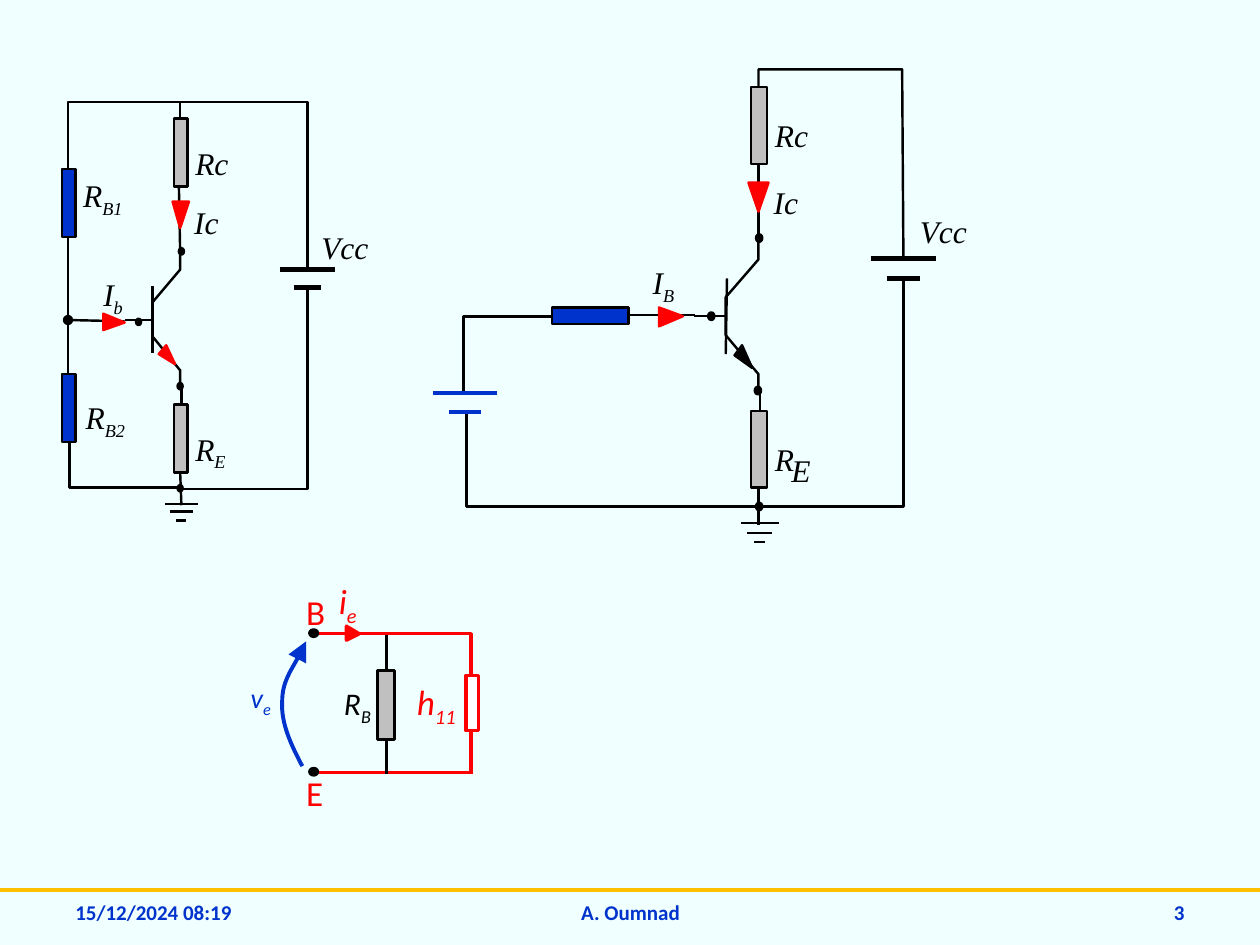
from lxml import etree
from pptx import Presentation
from pptx.dml.color import RGBColor
from pptx.enum.shapes import MSO_CONNECTOR, MSO_SHAPE
from pptx.enum.text import MSO_ANCHOR, MSO_AUTO_SIZE, PP_ALIGN
from pptx.oxml.ns import qn
from pptx.util import Inches, Pt

STRAIGHT = MSO_CONNECTOR.STRAIGHT
RECTANGLE, OVAL = MSO_SHAPE.RECTANGLE, MSO_SHAPE.OVAL
MIDDLE, TOP = MSO_ANCHOR.MIDDLE, MSO_ANCHOR.TOP
LEFT, CENTER, RIGHT = PP_ALIGN.LEFT, PP_ALIGN.CENTER, PP_ALIGN.RIGHT
FIT, NO_FIT = MSO_AUTO_SIZE.SHAPE_TO_FIT_TEXT, MSO_AUTO_SIZE.NONE

THEME = {
    "page": "F0FFFF", "black": "000000", "red": "FF0000", "blue": "0033CC",
    "gray": "C0C0C0", "white": "FFFFFF", "gold": "FFC000",
    "serif": "Times New Roman", "sans": "Calibri",
    "small": 12, "medium": 16, "label": 18, "large": 20,
    "thin": 1.38, "medium line": 1.75, "model line": 2, "rule": 2.25, "plate": 2.63,
}

FOOTER = [
    ("15/12/2024 08:19", 0.5, 2.33, LEFT),
    ("A. Oumnad", 3.42, 3.17, CENTER),
    ("3", 7.17, 2.33, RIGHT),
]

WIRES = [
    ("black", "thin", [
        [(1.21, 2.54), (0.99, 2.54)],
        [(1.43, 2), (1.43, 2.14), (1.21, 2.4), (1.21, 2.67), (1.43, 2.94), (1.43, 3.07)],
        [(1.21, 2.8), (1.21, 2.27)],
        [(1.43, 0.94), (1.43, 0.81), (2.44, 0.81), (2.44, 2.15)],
        [(1.42, 1.47), (1.43, 2.01)],
        [(1.44, 3.07), (1.44, 3.74)],
        [(0.54, 2.97), (0.54, 1.88)],
        [(1.43, 0.81), (0.54, 0.81), (0.54, 1.34)],
        [(2.44, 2.28), (2.44, 3.88), (1.43, 3.88)],
        [(1.43, 3.75), (1.44, 4.01)],
        [(1.43, 3.87), (0.55, 3.87), (0.55, 3.48)],
        [(5.76, 2.51), (5.51, 2.51)],
        [(6.02, 1.91), (6.02, 2.06), (5.76, 2.36), (5.76, 2.66), (6.02, 2.97), (6.02, 3.11)],
        [(5.76, 2.81), (5.77, 2.21)],
        [(6.02, 0.7), (6.02, 0.55), (7.16, 0.55), (7.17, 2.06)],
        [(5, 2.5), (5.52, 2.5)],
        [(6.02, 1.3), (6.02, 1.9)],
        [(6.03, 3.1), (6.03, 3.86)],
        [(7.17, 2.21), (7.17, 4.02), (4.99, 4.02)],
        [(6.02, 3.87), (6.02, 4.17)],
    ]),
    ("black", "medium line", [
        [(4.38, 2.51), (3.76, 2.51)],
        [(4.37, 2.51), (3.68, 2.51), (3.68, 3.1)],
        [(5.04, 4.02), (3.7, 4.02), (3.7, 3.27)],
    ]),
    ("red", "model line", [
        [(3.74, 6.13), (3.74, 5.03), (2.45, 5.03)],
        [(2.53, 6.13), (3.75, 6.13)],
    ]),
    ("black", "medium line", [[(3.07, 5.04), (3.07, 6.14)]]),
]

PLATES = [
    (2.44, "black", "plate", [(2.14, 0.44), (2.28, 0.22)]),
    (7.17, "black", "plate", [(2.05, 0.52), (2.21, 0.26)]),
    (3.69, "blue", "plate", [(3.12, 0.51), (3.27, 0.26)]),
    (1.44, "black", "thin", [(4, 0.26), (4.06, 0.18), (4.13, 0.08)]),
    (6.03, "black", "thin", [(4.15, 0.3), (4.23, 0.2), (4.3, 0.09)]),
]

RESISTORS = [
    ("gray", "black", "thin", 0.11, 0.54, [(1.38, 0.94), (1.38, 3.21)]),
    ("blue", "black", "thin", 0.11, 0.54, [(0.49, 1.34), (0.49, 2.97)]),
    ("gray", "black", "thin", 0.13, 0.61, [(5.96, 0.69), (5.96, 3.26)]),
    ("blue", "black", "thin", 0.61, 0.13, [(4.38, 2.44)]),
    ("white", "red", "model line", 0.1, 0.44, [(3.7, 5.36)]),
    ("gray", "black", "medium line", 0.13, 0.55, [(3, 5.32)]),
]

ARROWS = [
    ("red", "thin", [(1.39, 2.89), (1.32, 2.74), (1.26, 2.81)]),
    ("red", "thin", [(1.43, 1.81), (1.37, 1.6), (1.5, 1.6)]),
    ("red", "thin", [(0.99, 2.56), (0.82, 2.62), (0.82, 2.49)]),
    ("black", "thin", [(5.97, 2.92), (5.89, 2.74), (5.83, 2.82)]),
    ("red", "thin", [(6.02, 1.68), (5.94, 1.45), (6.1, 1.45)]),
    ("red", "thin", [(5.42, 2.51), (5.23, 2.59), (5.23, 2.44)]),
    ("red", "model line", [(2.85, 5.03), (2.75, 4.97), (2.75, 5.08)]),
]

DOTS = [
    ("thin", 0.04, 0.05, [(1.08, 2.53), (1.41, 3.04), (1.42, 1.97), (1.41, 3.85)]),
    ("thin", 0.05, 0.06, [(5.62, 2.48), (5.99, 3.07), (6, 1.86), (6, 3.99)]),
    ("model line", 0.06, 0.05, [(2.46, 5), (2.46, 6.1)]),
]

SERIF_LABELS = [
    ("Vcc", "", 2.55, 1.81, 0.38, 0.27), ("Rc", "", 1.55, 1.14, 0.28, 0.27),
    ("R", "B1", 0.66, 1.4, 0.34, 0.3), ("Ic", "", 1.54, 1.61, 0.21, 0.27),
    ("I", "b", 0.82, 2.18, 0.17, 0.3), ("R", "E", 1.55, 3.41, 0.26, 0.3),
    ("R", "B2", 0.68, 3.16, 0.34, 0.3), ("Vcc", "", 7.3, 1.68, 0.38, 0.27),
    ("Rc", "", 6.15, 0.92, 0.28, 0.27), ("Ic", "", 6.14, 1.45, 0.21, 0.27),
    ("I", "B", 5.18, 2.09, 0.19, 0.27), ("R", "", 6.15, 3.49, 0.15, 0.27),
    ("E", "", 6.28, 3.58, 0.15, 0.27),
]
MODEL_LABELS = [
    ("B", "", 2.43, 4.69, 0.15, 0.34, "large", "red", False),
    ("E", "", 2.43, 6.12, 0.14, 0.34, "large", "red", False),
    ("h", "11", 3.31, 5.4, 0.33, 0.34, "large", "red", True),
    ("i", "e", 2.69, 4.6, 0.24, 0.34, "large", "red", True),
    ("v", "e", 1.99, 5.4, 0.17, 0.27, "medium", "blue", True),
    ("R", "B", 2.73, 5.43, 0.23, 0.3, "label", "black", True),
]
VOLTAGE_CURVE = [(2.4, 6.08), (2.31, 5.91), (2.23, 5.74), (2.24, 5.57),
                 (2.24, 5.41), (2.4, 5.17), (2.43, 5.09)]

deck = Presentation()
deck.slide_width, deck.slide_height = Inches(10), Inches(7.5)
page = deck.slides.add_slide(deck.slide_layouts[6])


def color(name):
    return RGBColor.from_string(THEME[name])


def set_line(shape, ink, weight):
    shape.line.color.rgb = color(ink)
    shape.line.width = Pt(THEME[weight])


def set_end(shape, end, kind, size):
    etree.SubElement(shape.line._get_or_add_ln(), qn(f"a:{end}"), type=kind, w=size, len=size)


def add_outline(points, ink, weight, filled=False):
    corners = [(Inches(x), Inches(y)) for x, y in points]
    builder = page.shapes.build_freeform(*corners[0])
    builder.add_line_segments(corners[1:], close=filled)
    shape = builder.convert_to_shape()
    shape.shadow.inherit = False
    if filled:
        shape.fill.solid()
        shape.fill.fore_color.rgb = color(ink)
    else:
        shape.fill.background()
    set_line(shape, ink, weight)
    return shape


def add_wire(points, ink, weight):
    if len(points) > 2:
        return add_outline(points, ink, weight)
    ends = [Inches(value) for point in points for value in point]
    wire = page.shapes.add_connector(STRAIGHT, *ends)
    set_line(wire, ink, weight)
    etree.SubElement(wire._element.spPr, qn("a:effectLst"))
    return wire


def add_solid(kind, place, fill, ink, weight):
    shape = page.shapes.add_shape(kind, *map(Inches, place))
    shape.shadow.inherit = False
    shape.fill.solid()
    shape.fill.fore_color.rgb = color(fill)
    set_line(shape, ink, weight)


def add_text(text, place, sub="", size="label", ink="black", font="serif", italic=False,
             bold=False, align=LEFT, anchor=TOP, inset=(0, 0), wrap=False):
    box = page.shapes.add_textbox(*map(Inches, place))
    frame = box.text_frame
    frame.margin_left = frame.margin_right = Inches(inset[0])
    frame.margin_top = frame.margin_bottom = Inches(inset[1])
    frame.word_wrap, frame.vertical_anchor = wrap, anchor
    frame.auto_size = NO_FIT if wrap else FIT
    para = frame.paragraphs[0]
    para.alignment = align
    for part in filter(None, (text, sub)):
        span = para.add_run()
        span.text = part
        span.font.name, span.font.size = THEME[font], Pt(THEME[size])
        span.font.italic, span.font.bold = italic, bold
        span.font.color.rgb = color(ink)
    if sub:
        span._r.get_or_add_rPr().set("baseline", "-25000")


def add_curve(points, ink, weight):
    curve = add_outline(points, ink, weight)
    segments = list(curve._element.iter(qn("a:lnTo")))
    for start in range(0, len(segments), 3):
        bezier = etree.SubElement(segments[start].getparent(), qn("a:cubicBezTo"))
        for segment in segments[start:start + 3]:
            bezier.append(segment[0])
            segment.getparent().remove(segment)
    set_end(curve, "tailEnd", "triangle", "lg")


page.background.fill.solid()
page.background.fill.fore_color.rgb = color("page")
add_wire([(0, 7.06), (10, 7.06)], "gold", "rule")
for text, left, width, align in FOOTER:
    add_text(text, (left, 7.08, width, 0.32), size="small", ink="blue", font="sans", bold=True,
             align=align, anchor=MIDDLE, inset=(0.1, 0.05), wrap=True)

for ink, weight, paths in WIRES:
    for points in paths:
        add_wire(points, ink, weight)
base_wire = add_wire([(0.54, 2.54), (0.99, 2.55)], "black", "thin")
set_end(base_wire, "headEnd", "oval", "med")
for middle, ink, weight, bars in PLATES:
    for y, width in bars:
        add_wire([(middle - width / 2, y), (middle + width / 2, y)], ink, weight)
for fill, ink, weight, width, height, corners in RESISTORS:
    for corner in corners:
        add_solid(RECTANGLE, (*corner, width, height), fill, ink, weight)
for ink, weight, points in ARROWS:
    add_outline(points, ink, weight, filled=True)
for weight, width, height, corners in DOTS:
    for corner in corners:
        add_solid(OVAL, (*corner, width, height), "black", "black", weight)
add_curve(VOLTAGE_CURVE, "blue", "rule")

for text, sub, *place in SERIF_LABELS:
    add_text(text, place, sub=sub, italic=True)
for text, sub, *place, size, ink, italic in MODEL_LABELS:
    add_text(text, place, sub=sub, size=size, ink=ink, font="sans", italic=italic)

deck.save("out.pptx")
